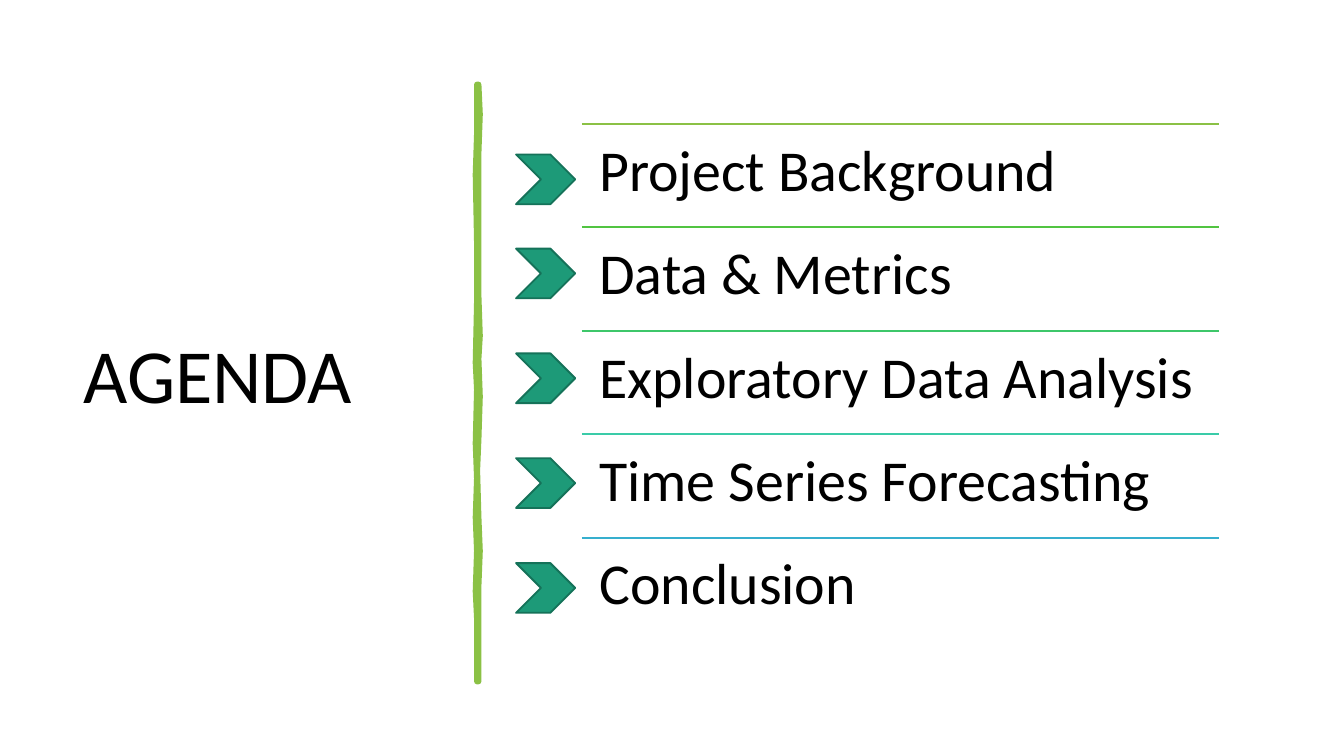
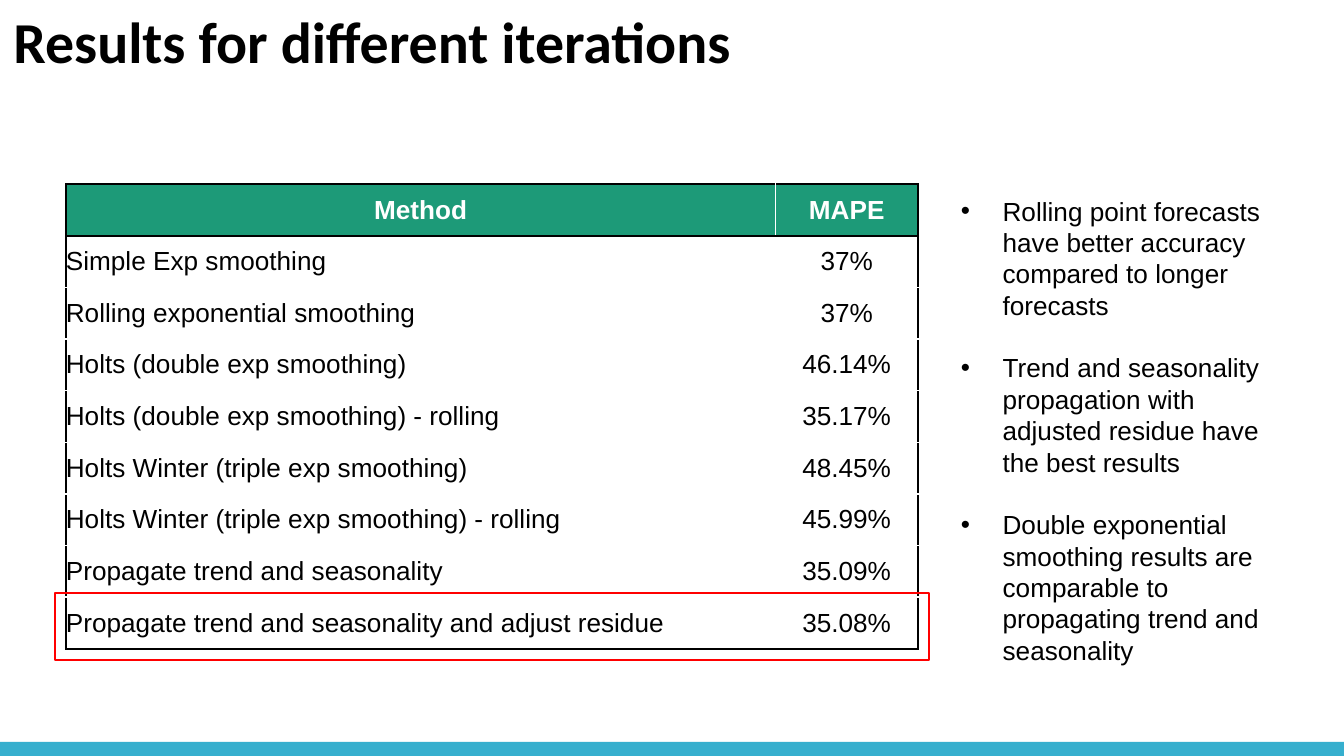
from dataclasses import dataclass

from lxml import etree
from pptx import Presentation
from pptx.dml.color import RGBColor
from pptx.enum.shapes import MSO_CONNECTOR, MSO_SHAPE
from pptx.enum.text import MSO_ANCHOR, MSO_AUTO_SIZE, PP_ALIGN
from pptx.oxml.ns import qn
from pptx.util import Inches, Pt

STRAIGHT = MSO_CONNECTOR.STRAIGHT
RECTANGLE = MSO_SHAPE.RECTANGLE
CHEVRON = MSO_SHAPE.CHEVRON
TOP, MIDDLE = MSO_ANCHOR.TOP, MSO_ANCHOR.MIDDLE
LEFT, CENTER = PP_ALIGN.LEFT, PP_ALIGN.CENTER
NO_AUTOFIT = MSO_AUTO_SIZE.NONE
CONTENT_LAYOUT, TITLE_LAYOUT = 1, 5
WIDTH = 10
HEIGHT = WIDTH * 9 / 16


@dataclass(frozen=True)
class Theme:
    heading_font: str = "Calibri"
    body_font: str = "Arial"
    agenda_size: float = 41
    heading_size: float = 31
    body_size: float = 14
    black: str = "000000"
    white: str = "FFFFFF"
    teal: str = "1D9A78"
    dark_teal: str = "157259"
    lime: str = "8BC145"
    blue: str = "36AFCE"
    red: str = "FF0000"
    rules: tuple = ("8BC145", "51C441", "3EC76A", "3ACBA8", "36AFCE")


AGENDA = (
    ("Project Background", 1.15),
    ("Data & Metrics", 1.85),
    ("Exploratory Data Analysis", 2.63),
    ("Time Series Forecasting", 3.41),
    ("Conclusion", 4.19),
)

STROKE_RIGHT = (
    (3.56, 0.63), (3.57, 0.85), (3.56, 1.14), (3.56, 1.4), (3.56, 2.2),
    (3.57, 2.5), (3.56, 2.67), (3.57, 2.95), (3.56, 3.27), (3.55, 3.5),
    (3.56, 3.85), (3.57, 4.1), (3.56, 4.36), (3.56, 5.07),
)
STROKE_LEFT = (
    (3.55, 5.07), (3.55, 4.6), (3.54, 4.4), (3.55, 4.1), (3.54, 3.85),
    (3.55, 3.56), (3.54, 3.3), (3.55, 2.9), (3.54, 2.7), (3.55, 2.25),
    (3.55, 1.8), (3.54, 1.3), (3.55, 1.0), (3.55, 0.63),
)

RESULTS = (
    ("Method", "MAPE"),
    ("Simple Exp smoothing", "37%"),
    ("Rolling exponential smoothing", "37%"),
    ("Holts (double exp smoothing)", "46.14%"),
    ("Holts (double exp smoothing) - rolling", "35.17%"),
    ("Holts Winter (triple exp smoothing)", "48.45%"),
    ("Holts Winter (triple exp smoothing) - rolling", "45.99%"),
    ("Propagate trend and seasonality", "35.09%"),
    ("Propagate trend and seasonality and adjust residue", "35.08%"),
)

FINDINGS = (
    "Rolling point forecasts have better accuracy compared to longer forecasts",
    "Trend and seasonality propagation with adjusted residue have the best results",
    "Double exponential smoothing results are comparable to propagating trend and seasonality",
)


def color(value):
    return RGBColor.from_string(value)


def place(shape, left, top, width, height):
    shape.left, shape.top = Inches(left), Inches(top)
    shape.width, shape.height = Inches(width), Inches(height)


class Builder:
    def __init__(self, deck, theme):
        self.deck = deck
        self.theme = theme
        self.page = None

    def new_page(self, layout):
        self.page = self.deck.slides.add_slide(self.deck.slide_layouts[layout])

    def format_text(self, paragraph, font, size, value, bold=False, align=LEFT):
        paragraph.alignment = align
        for span in paragraph.runs:
            span.font.name = font
            span.font.size = Pt(size)
            span.font.bold = bold
            span.font.color.rgb = color(value)

    def format_frame(self, frame, anchor, side, end):
        frame.word_wrap = True
        frame.auto_size = NO_AUTOFIT
        frame.vertical_anchor = anchor
        frame.margin_left = frame.margin_right = Inches(side)
        frame.margin_top = frame.margin_bottom = Inches(end)

    def heading(self, frame, text, size, bold=False):
        frame.text = text
        paragraph = frame.paragraphs[0]
        paragraph.line_spacing = 0.9
        self.format_text(paragraph, self.theme.heading_font, size, self.theme.black, bold)

    def title(self, text, bounds, size, anchor, bold=False):
        box = self.page.shapes.title
        place(box, *bounds)
        self.format_frame(box.text_frame, anchor, 0.1, 0.1)
        self.heading(box.text_frame, text, size, bold)

    def label(self, text, bounds):
        box = self.page.shapes.add_textbox(*map(Inches, bounds))
        self.format_frame(box.text_frame, TOP, 0.13, 0.13)
        self.heading(box.text_frame, text, self.theme.heading_size)

    def paint(self, shape, fill=None, line=None, weight=1):
        shape.shadow.inherit = False
        if fill:
            shape.fill.solid()
            shape.fill.fore_color.rgb = color(fill)
        else:
            shape.fill.background()
        if line:
            shape.line.color.rgb = color(line)
            shape.line.width = Pt(weight)
        else:
            shape.line.fill.background()

    def shape(self, kind, bounds, fill=None, line=None):
        self.paint(self.page.shapes.add_shape(kind, *map(Inches, bounds)), fill, line)

    def band(self):
        top = 5.52
        self.shape(RECTANGLE, (0, top, WIDTH, HEIGHT - top), self.theme.blue)

    def rule(self, left, right, top, value):
        line = self.page.shapes.add_connector(
            STRAIGHT, Inches(left), Inches(top), Inches(right), Inches(top)
        )
        line.line.color.rgb = color(value)
        line.line.width = Pt(1)
        etree.SubElement(line._element.spPr, qn("a:effectLst"))

    def stroke(self, points, value):
        corners = [(Inches(x), Inches(y)) for x, y in points]
        outline = self.page.shapes.build_freeform(*corners[0])
        outline.add_line_segments(corners[1:], close=True)
        self.paint(outline.convert_to_shape(), value, value, 3.25)

    def bullets(self, items, bounds):
        theme = self.theme
        box = self.page.placeholders[1]
        place(box, *bounds)
        frame = box.text_frame
        self.format_frame(frame, TOP, 0.1, 0.05)
        frame.text = "\n".join(items)
        for index, paragraph in enumerate(frame.paragraphs):
            paragraph.line_spacing = 1.0
            paragraph.space_before = Pt(16.8 if index else 0)
            properties = paragraph._p.get_or_add_pPr()
            properties.set("marL", str(Inches(0.31)))
            properties.set("indent", str(-Inches(0.31)))
            tint = etree.SubElement(properties, qn("a:buClr"))
            etree.SubElement(tint, qn("a:srgbClr"), val=theme.black)
            etree.SubElement(properties, qn("a:buFont"), typeface=theme.body_font)
            etree.SubElement(properties, qn("a:buChar"), char="•")
            self.format_text(paragraph, theme.body_font, theme.body_size, theme.black)

    def borders(self, cell, sides):
        properties = cell._tc.get_or_add_tcPr()
        for index, (side, value) in enumerate(sides.items()):
            line = etree.Element(qn(f"a:ln{side}"), w=str(Pt(1)))
            fill = etree.SubElement(line, qn("a:solidFill"))
            etree.SubElement(fill, qn("a:srgbClr"), val=value)
            properties.insert(index, line)

    def table(self, rows, bounds, widths):
        theme = self.theme
        last_row, last_column = len(rows) - 1, len(widths) - 1
        grid = self.page.shapes.add_table(
            len(rows), len(widths), *map(Inches, bounds)
        ).table
        grid.horz_banding = False
        for column, width in zip(grid.columns, widths):
            column.width = Inches(width)
        for row, values in enumerate(rows):
            header = row == 0
            for column, text in enumerate(values):
                cell = grid.cell(row, column)
                cell.text = text
                cell.vertical_anchor = MIDDLE
                cell.margin_left = cell.margin_right = 0
                cell.margin_top = cell.margin_bottom = 0
                if header:
                    cell.fill.solid()
                    cell.fill.fore_color.rgb = color(theme.teal)
                else:
                    cell.fill.background()
                dark_sides = {
                    "L": column == 0,
                    "R": column == last_column,
                    "T": row <= 1,
                    "B": row in (0, last_row),
                }
                self.borders(cell, {
                    side: theme.black if dark else theme.white
                    for side, dark in dark_sides.items()
                })
                self.format_text(
                    cell.text_frame.paragraphs[0], theme.body_font, theme.body_size,
                    theme.white if header else theme.black, header,
                    CENTER if header or column else LEFT,
                )


def build_agenda(builder):
    theme = builder.theme
    builder.new_page(TITLE_LAYOUT)
    builder.title("AGENDA", (0.52, 0.53, 2.8, 4.58), theme.agenda_size, MIDDLE)
    builder.stroke(STROKE_RIGHT + STROKE_LEFT, theme.lime)
    left, first_top, width, pitch = 4.33, 0.92, 4.74, 0.77
    for index, ((text, chevron_top), value) in enumerate(zip(AGENDA, theme.rules)):
        top = first_top + index * pitch
        builder.rule(left, left + width, top, value)
        builder.label(text, (left, top, width, pitch))
        builder.shape(CHEVRON, (3.84, chevron_top, 0.44, 0.37), theme.teal, theme.dark_teal)


def build_results(builder):
    theme = builder.theme
    builder.new_page(CONTENT_LAYOUT)
    builder.band()
    builder.title(
        "Results for different iterations", (0, 0, 9.32, 0.77),
        theme.heading_size, TOP, bold=True,
    )
    builder.table(RESULTS, (0.49, 1.37, 6.34, 3.46), (5.28, 1.06))
    builder.bullets(FINDINGS, (7.05, 1.4, 2.61, 3.64))
    builder.shape(RECTANGLE, (0.41, 4.41, 6.5, 0.5), line=theme.red)


def main():
    deck = Presentation()
    deck.slide_width, deck.slide_height = Inches(WIDTH), Inches(HEIGHT)
    builder = Builder(deck, Theme())
    build_agenda(builder)
    build_results(builder)
    deck.save("out.pptx")


if __name__ == "__main__":
    main()
